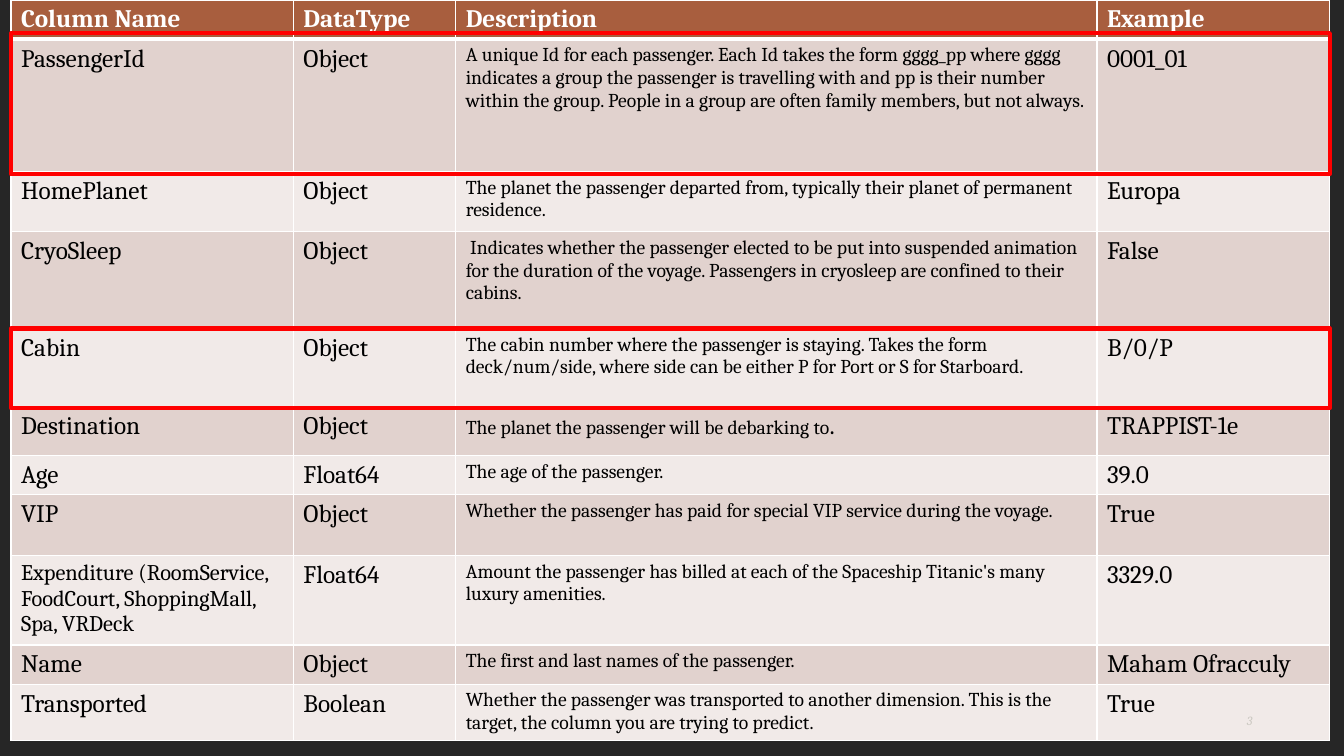
from lxml import etree
from pptx import Presentation
from pptx import util as u
from pptx.dml.color import RGBColor
from pptx.enum import shapes, text
from pptx.oxml import ns

FONT = "Cambria"
COLOURS = {
    "background": "262626",
    "header": "A85E3E",
    "odd": "E1D2CE",
    "even": "F1EAE8",
    "white": "FFFFFF",
    "black": "000000",
    "highlight": "FF0000",
    "page_number": "CCC9C2",
}
TABLE_LEFT, TABLE_WIDTH = 0.11, 13.08
COLUMN_WIDTHS = [2.8, 1.61, 6.36, 2.31]
ROW_HEIGHTS = [0.39, 1.31, 0.6, 0.96, 0.78, 0.48, 0.39, 0.6, 0.89, 0.39, 0.56]
DESCRIPTION_COLUMN = 2
EXPENDITURE = "Expenditure (RoomService, FoodCourt, ShoppingMall, Spa, VRDeck"
DESTINATION = "The planet the passenger will be debarking to"
ROWS = [
    ("Column Name", "DataType", "Description", "Example"),
    ("PassengerId", "Object",
     "A unique Id for each passenger. Each Id takes the form gggg_pp where gggg "
     "indicates a group the passenger is travelling with and pp is their number "
     "within the group. People in a group are often family members, but not always.",
     "0001_01"),
    ("HomePlanet", "Object",
     "The planet the passenger departed from, typically their planet of permanent "
     "residence.", "Europa"),
    ("CryoSleep", "Object",
     " Indicates whether the passenger elected to be put into suspended animation "
     "for the duration of the voyage. Passengers in cryosleep are confined to their "
     "cabins.", "False"),
    ("Cabin", "Object",
     "The cabin number where the passenger is staying. Takes the form deck/num/side, "
     "where side can be either P for Port or S for Starboard.", "B/0/P"),
    ("Destination", "Object", DESTINATION, "TRAPPIST-1e"),
    ("Age", "Float64", "The age of the passenger.", "39.0"),
    ("VIP", "Object",
     "Whether the passenger has paid for special VIP service during the voyage.",
     "True"),
    (EXPENDITURE, "Float64",
     "Amount the passenger has billed at each of the Spaceship Titanic's many luxury "
     "amenities.", "3329.0"),
    ("Name", "Object", "The first and last names of the passenger.",
     "Maham Ofracculy"),
    ("Transported", "Boolean",
     "Whether the passenger was transported to another dimension. This is the "
     "target, the column you are trying to predict.", "True"),
]


def rgb(name):
    return RGBColor.from_string(COLOURS[name])


def set_font(font, size, colour, bold=False, italic=False):
    font.name = FONT
    font.size = u.Pt(size)
    font.bold = bold
    font.italic = italic
    font.color.rgb = rgb(colour)


def add_borders(cell, widths):
    """Draw white cell borders; widths maps side tags to points."""
    properties = cell._tc.get_or_add_tcPr()
    for side, width in widths.items():
        line = etree.SubElement(properties, ns.qn(f"a:{side}"), w=str(u.Pt(width)))
        fill = etree.SubElement(line, ns.qn("a:solidFill"))
        etree.SubElement(fill, ns.qn("a:srgbClr"), val=COLOURS["white"])


def fill_cell(cell, wording, row, column):
    header = row == 0
    top = 3 if row == 1 else 1
    add_borders(cell, {"lnL": 1, "lnR": 1, "lnT": top, "lnB": 3 if header else 1})
    cell.fill.solid()
    cell.fill.fore_color.rgb = rgb("header" if header else "odd" if row % 2 else "even")
    para = cell.text_frame.paragraphs[0]
    span = para.add_run()
    span.text = wording
    if wording == DESTINATION:
        set_font(span.font, 14, "black")
        stop = para.add_run()
        stop.text = "."
        set_font(stop.font, 18, "black")
        return
    size = 18
    if wording == EXPENDITURE:
        size = 16
    elif column == DESCRIPTION_COLUMN and not header:
        size = 14
    set_font(para.font, size, "white" if header else "black", bold=header)


def add_column_table(page):
    frame = page.shapes.add_table(
        len(ROWS), len(COLUMN_WIDTHS), u.Inches(TABLE_LEFT), 0,
        u.Inches(TABLE_WIDTH), u.Inches(sum(ROW_HEIGHTS)))
    table = frame.table
    for column, width in zip(table.columns, COLUMN_WIDTHS):
        column.width = u.Inches(width)
    for row, height in zip(table.rows, ROW_HEIGHTS):
        row.height = u.Inches(height)
    for row, values in enumerate(ROWS):
        for column, wording in enumerate(values):
            fill_cell(table.cell(row, column), wording, row, column)


def add_highlight(page, top, height):
    box = page.shapes.add_shape(
        shapes.MSO_SHAPE.RECTANGLE, u.Inches(TABLE_LEFT), u.Inches(top),
        u.Inches(TABLE_WIDTH), u.Inches(height))
    box.shadow.inherit = False
    box.fill.background()
    box.line.color.rgb = rgb("highlight")
    box.line.width = u.Pt(3)


def add_page_number(page, number):
    box = page.shapes.add_textbox(
        u.Inches(11.5), u.Inches(7), u.Inches(1.02), u.Inches(0.3))
    frame = box.text_frame
    frame.word_wrap = True
    frame.vertical_anchor = text.MSO_ANCHOR.MIDDLE
    para = frame.paragraphs[0]
    para.text = number
    para.alignment = text.PP_ALIGN.RIGHT
    set_font(para.font, 9, "page_number", italic=True)


def main():
    deck = Presentation()
    deck.slide_width = u.Inches(13.33)
    deck.slide_height = u.Inches(7.5)
    page = deck.slides.add_slide(deck.slide_layouts[6])
    page.background.fill.solid()
    page.background.fill.fore_color.rgb = rgb("background")
    add_column_table(page)
    add_highlight(page, 0.33, 1.4)
    add_highlight(page, 3.26, 0.79)
    add_page_number(page, "3")
    deck.save("out.pptx")


if __name__ == "__main__":
    main()
